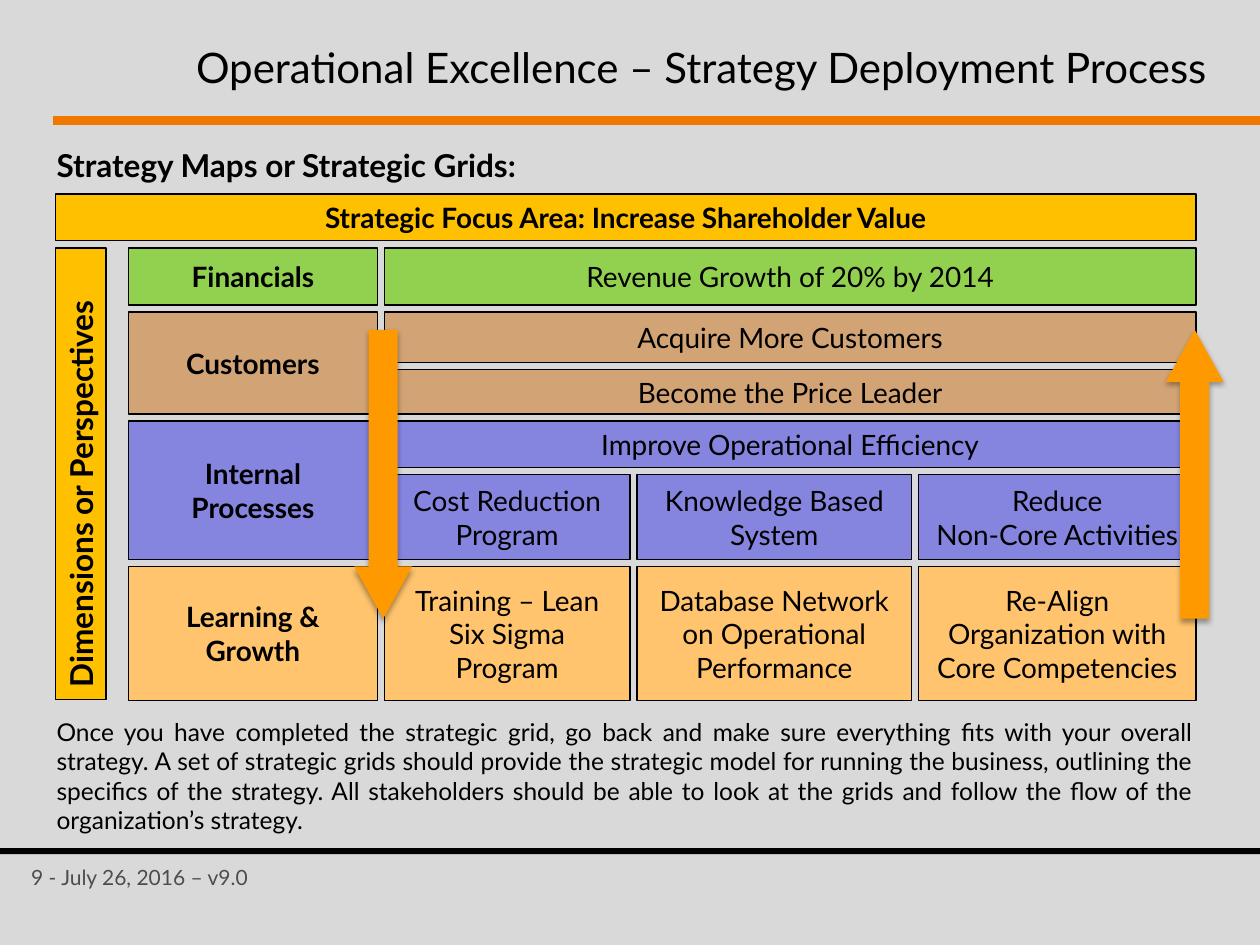
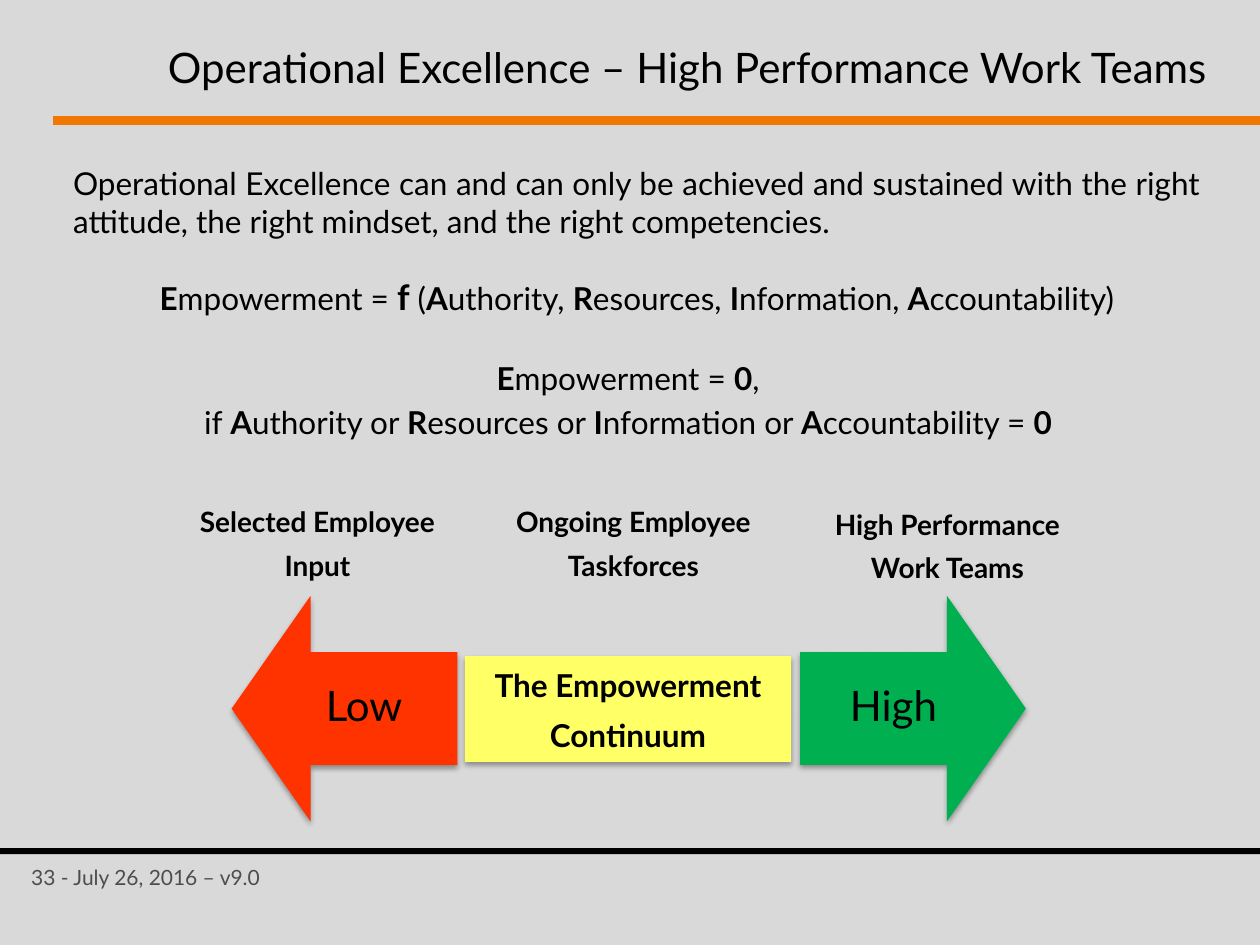
from lxml import etree
from pptx import Presentation
from pptx import util as u
from pptx.dml.color import RGBColor
from pptx.enum import shapes, text
from pptx.oxml.ns import qn

# ---- Content ----
FOOT = "{} - July 26, 2016 – v9.0"
TITLE = "Operational Excellence – {}"

FOCUS = "Strategic Focus Area: Increase Shareholder Value"
SIDE = "Dimensions or Perspectives"
HEAD = "Strategy Maps or Strategic Grids:"
NOTE = ("Once you have completed the strategic grid, go back and make sure "
        "everything fits with your overall strategy. A set of strategic grids "
        "should provide the strategic model for running the business, outlining "
        "the specifics of the strategy. All stakeholders should be able to look "
        "at the grids and follow the flow of the organization’s strategy.")

# Perspective, colour, then its rows: (height in cm, cells)
GRID = [
    ("Financials", "92D050", [(1.15, ["Revenue Growth of 20% by 2014"])]),
    ("Customers", "D2A374", [(1.02, ["Acquire More Customers"]),
                             (0.9, ["Become the Price Leader"])]),
    ("Internal\nProcesses", "8585E0", [
        (0.94, ["Improve Operational Efficiency"]),
        (1.71, ["Cost Reduction Program", "Knowledge Based\nSystem",
                "Reduce\nNon-Core Activities"])]),
    ("Learning &\nGrowth", "FFC46D", [
        (2.7, ["Training – Lean Six Sigma Program",
               "Database Network on Operational Performance",
               "Re-Align Organization with Core Competencies"])]),
]

# Stars switch bold on and off
CLAIM = ("Operational Excellence can and can only be achieved and sustained with "
         "the right attitude, the right mindset, and the right competencies.")
RULE = ("*E*mpowerment = *f *(*A*uthority, *R*esources, *I*nformation, "
        "*A*ccountability)")
ZERO = ("*E*mpowerment = *0*,\n"
        "if *A*uthority or *R*esources or *I*nformation or *A*ccountability = *0*")
STAGES = [  # left, top, label
    (3.1, 9.98, "Selected Employee\nInput"),
    (9.47, 9.98, "Ongoing Employee\nTaskforces"),
    (15.8, 10.03, "High Performance\nWork Teams"),
]
ENDS = [  # arrow left, turn, colour, label left, label
    (4.67, 270, "FF3300", 5.46, "Low"),
    (16.13, 90, "00B050", 16.13, "High"),
]

# ---- Shared style ----
FONT, BLACK, GOLD = "Lato", "000000", "FFC000"
LEFT, MID, RIGHT, FULL = (text.PP_ALIGN.LEFT, text.PP_ALIGN.CENTER,
                          text.PP_ALIGN.RIGHT, text.PP_ALIGN.JUSTIFY)
TOP, CORE = text.MSO_ANCHOR.TOP, text.MSO_ANCHOR.MIDDLE
RECT, ARROW = shapes.MSO_SHAPE.RECTANGLE, shapes.MSO_SHAPE.UP_ARROW


def rgb(code):
    return RGBColor.from_string(code)


def write(shape, words, size=16, bold=False, color=BLACK, align=MID,
          anchor=CORE, before=0, lines=None, inset=None):
    """Fill a shape with text; each line break starts a paragraph."""
    frame = shape.text_frame
    frame.word_wrap = True
    frame.auto_size = text.MSO_AUTO_SIZE.NONE
    frame.vertical_anchor = anchor
    if inset is not None:
        frame.margin_left = frame.margin_right = u.Cm(inset)
        frame.margin_top = frame.margin_bottom = u.Cm(inset)
    for i, line in enumerate(words.split("\n")):
        para = frame.add_paragraph() if i else frame.paragraphs[0]
        para.alignment = align
        para.space_before = u.Pt(before if i else 0)
        if lines:
            para.line_spacing = lines
        for j, part in enumerate(line.split("*")):
            if part:
                run = para.add_run()
                run.text = part
                font = run.font
                font.name, font.size = FONT, u.Pt(size)
                font.bold = bold or j % 2 == 1
                font.color.rgb = rgb(color)
    return frame


def place(shape, x, y, w, h):
    shape.left, shape.top, shape.width, shape.height = map(u.Cm, (x, y, w, h))
    return shape


def label(slide, x, y, w, h, words, **form):
    box = slide.shapes.add_textbox(*map(u.Cm, (x, y, w, h)))
    return write(box, words, **form)


def block(slide, x, y, w, h, fill, kind=RECT, line=False, shade=False, turn=0):
    shape = slide.shapes.add_shape(kind, *map(u.Cm, (x, y, w, h)))
    shape.shadow.inherit = False
    shape.fill.solid()
    shape.fill.fore_color.rgb = rgb(fill)
    shape.rotation = turn
    if line:
        shape.line.color.rgb = rgb(BLACK)
        shape.line.width = u.Pt(0.75)
    else:
        shape.line.fill.background()
    if shade:
        drop = etree.SubElement(
            shape.element.spPr.find(qn("a:effectLst")), qn("a:outerShdw"),
            blurRad=str(u.Pt(3.1)), dist=str(u.Pt(1.8)), dir="5400000",
            rotWithShape="0")
        tone = etree.SubElement(drop, qn("a:srgbClr"), val=BLACK)
        etree.SubElement(tone, qn("a:alpha"), val="35000")
    return shape


def arrow(slide, x, y, w, h, fill, tip, turn):
    shape = block(slide, x, y, w, h, fill, kind=ARROW, shade=True, turn=turn)
    shape.adjustments[0], shape.adjustments[1] = 0.5, tip


def start(prs, layout, topic, page):
    """Add a slide with title, bands and footer."""
    slide = prs.slides.add_slide(prs.slide_layouts[layout])
    block(slide, 1.07, 2.34, 24.33, 0.18, "F07800")
    block(slide, 0, 17.1, 25.4, 0.12, BLACK)
    label(slide, 0.38, 17.3, 6.43, 0.76, FOOT.format(page), size=12,
          color="4D4D4D", align=LEFT, anchor=TOP)
    title = place(slide.shapes.title, 0.98, 0.53, 23.59, 1.63)
    write(title, TITLE.format(topic), size=24, align=RIGHT)
    return slide


def draw_grid(slide):
    gap, left, names = 0.14, 7.75, 2.59
    cols = [4.95, 5.54, 5.59]
    full = sum(cols) + 2 * gap
    y = 5.0
    for name, fill, rows in GRID:
        tall = sum(h for h, _ in rows) + gap * (len(rows) - 1)
        box = block(slide, names, y, left - gap - names, tall, fill, line=True)
        write(box, name, bold=True)
        for h, cells in rows:
            x = left
            for cell, w in zip(cells, cols if len(cells) > 1 else [full]):
                write(block(slide, x, y, w, h, fill, line=True), cell)
                x += w + gap
            y += h + gap


def map_slide(prs):
    slide = start(prs, 5, "Strategy Deployment Process", 9)
    label(slide, 0.89, 14.33, 23.42, 2.64, NOTE, size=14, align=FULL, anchor=TOP)
    label(slide, 0.89, 2.82, 23.19, 1.02, HEAD, size=18, bold=True, align=FULL,
          anchor=TOP)
    write(block(slide, 1.12, 3.91, 22.99, 0.94, GOLD, line=True), FOCUS, bold=True)
    draw_grid(slide)
    side = block(slide, -2.92, 9.04, 9.1, 1.02, GOLD, line=True, turn=270)
    write(side, SIDE, size=18, bold=True, align=LEFT, anchor=TOP)
    for x, turn in [(23.5, 0), (7.14, 180)]:
        arrow(slide, x, 6.65, 1.17, 5.82, "FF9900", 0.9, turn)


def team_slide(prs):
    slide = start(prs, 1, "High Performance Work Teams", 33)
    # Claim and formula
    body = place(slide.placeholders[1], 1.22, 3.18, 23.24, 3.71)
    frame = write(body, CLAIM + "\n" + RULE, size=18, anchor=TOP, before=20.5)
    claim, rule = frame.paragraphs
    claim.alignment = FULL
    rule.runs[2].font.size = u.Pt(20)
    for para in frame.paragraphs:
        props = para._p.get_or_add_pPr()
        props.set("marL", "0")
        props.set("indent", "0")
        etree.SubElement(props, qn("a:buNone"))
    label(slide, 1.04, 7.11, 23.24, 2.06, ZERO, size=18, anchor=TOP, before=3.6)
    # Continuum
    for x, turn, fill, left, word in ENDS:
        arrow(slide, x, 12.01, 4.55, 4.55, fill, 0.35, turn)
        label(slide, left, 13.13, 3.76, 2.29, word, size=24, lines=0.9, inset=0.48)
    core = block(slide, 9.37, 13.23, 6.58, 2.13, "FFFF66", shade=True)
    write(core, "The Empowerment\nContinuum", size=18, bold=True, anchor=TOP,
          before=4.5, lines=1.1)
    for x, y, words in STAGES:
        label(slide, x, y, 6.6, 1.93, words, bold=True, anchor=TOP, before=4,
              lines=1.1)


def main():
    prs = Presentation()
    prs.slide_width, prs.slide_height = u.Cm(25.4), u.Cm(19.05)
    back = prs.slide_master.background.fill
    back.solid()
    back.fore_color.rgb = rgb("D9D9D9")
    map_slide(prs)
    team_slide(prs)
    prs.save("out.pptx")


if __name__ == "__main__":
    main()
